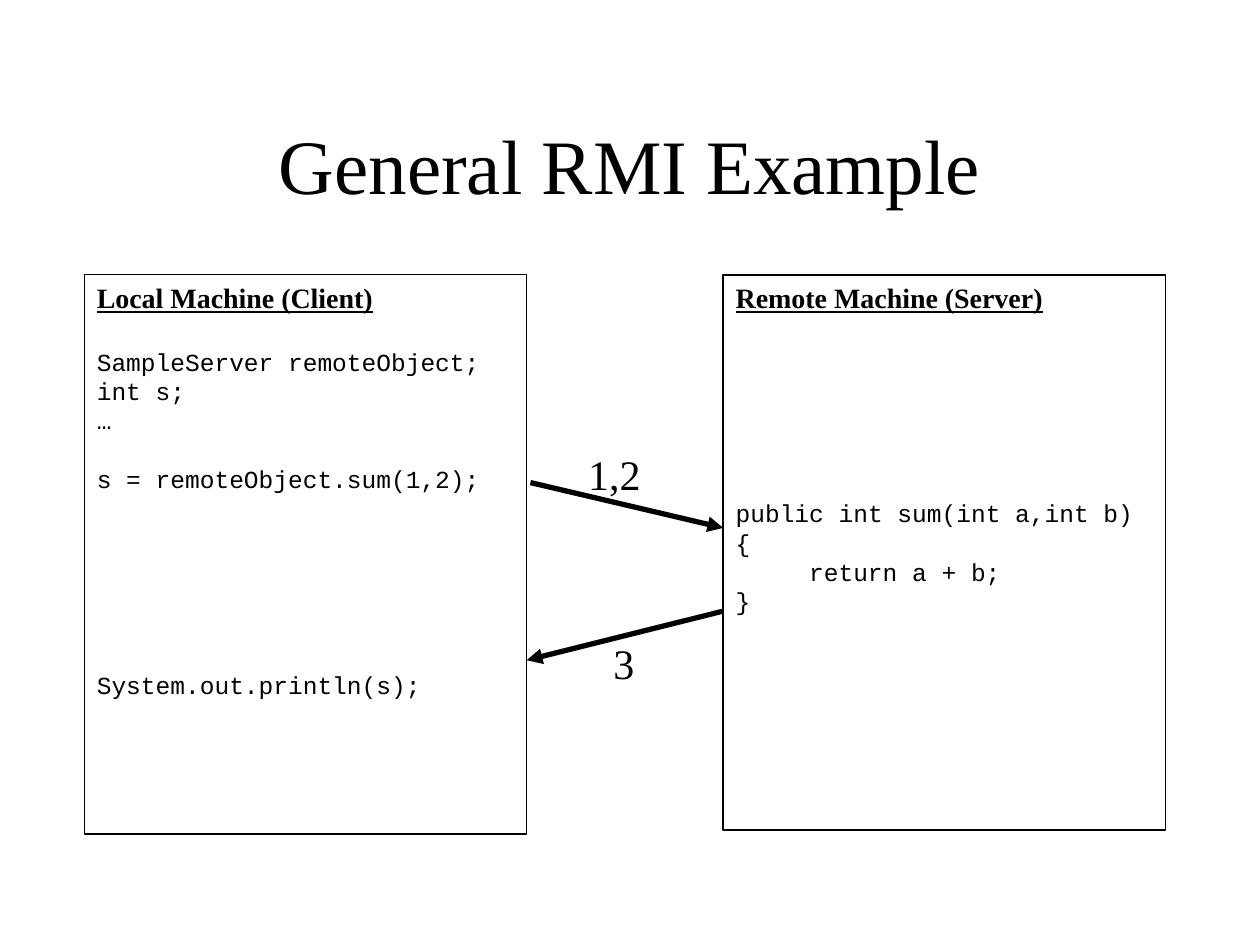
import pptx
import pptx.util
import pptx.dml.color
import pptx.enum.shapes
import pptx.enum.text
import pptx.oxml
import pptx.oxml.ns
from dataclasses import dataclass

Inches, Pt = pptx.util.Inches, pptx.util.Pt


@dataclass(frozen=True)
class Theme:
    """Colours, fonts and type sizes in points."""
    ink: pptx.dml.color.RGBColor = pptx.dml.color.RGBColor(0, 0, 0)
    serif: str = "Times New Roman"
    mono: str = "Courier New"
    title: float = 44
    value: float = 24
    heading: float = 16
    code: float = 14
    code_line: float = 16.8
    code_indent: float = 42
    border: float = 1
    arrow: float = 3


THEME = Theme()
MACHINE_TOP, MACHINE_WIDTH = 2.18, 3.51
TITLE = ("General RMI Example", (0.75, 0.67, 8.5, 1.25))

# Each code line: text, gap above in points, indent level
MACHINES = [
    dict(heading="Local Machine (Client)", left=0.67, height=4.44, code=[
        ("SampleServer remoteObject;", THEME.heading * 1.15, 0),
        ("int s;", 0, 0),
        ("…", 0, 0),
        ("s = remoteObject.sum(1,2);", THEME.code_line, 0),
        ("System.out.println(s);", 6 * THEME.code_line, 0),
    ]),
    dict(heading="Remote Machine (Server)", left=5.74, height=4.41, code=[
        ("public int sum(int a,int b) {", 105, 0),
        ("return a + b;", 0, 1),
        ("}", 0, 0),
    ]),
]
MESSAGES = [
    dict(value="1,2", box=(4.57, 3.51, 0.62, 0.5), start=(4.21, 3.83), end=(5.74, 4.19)),
    dict(value="3", box=(4.77, 5.01, 0.37, 0.5), start=(5.74, 4.85), end=(4.18, 5.24)),
]


def style(paragraph, text, name, size, strong=False):
    """Write text into a paragraph and set its font."""
    paragraph.text = text
    font = paragraph.font
    font.name, font.size = name, Pt(size)
    font.bold = font.underline = strong
    font.color.rgb = THEME.ink


def add_label(slide, text, box, size, wrap=False):
    """Add a text box holding one serif line."""
    frame = slide.shapes.add_textbox(*map(Inches, box)).text_frame
    frame.word_wrap = wrap
    style(frame.paragraphs[0], text, THEME.serif, size)
    return frame


def add_machine(slide, heading, left, height, code):
    """Add an outlined machine box with a heading and its code."""
    shape = slide.shapes.add_shape(
        pptx.enum.shapes.MSO_SHAPE.RECTANGLE,
        *map(Inches, (left, MACHINE_TOP, MACHINE_WIDTH, height)))
    shape.shadow.inherit = False
    shape.fill.background()
    shape.line.color.rgb = THEME.ink
    shape.line.width = Pt(THEME.border)
    frame = shape.text_frame
    frame.word_wrap = True
    frame.vertical_anchor = pptx.enum.text.MSO_ANCHOR.TOP
    style(frame.paragraphs[0], heading, THEME.serif, THEME.heading, strong=True)
    for text, gap, level in code:
        paragraph = frame.add_paragraph()
        style(paragraph, text, THEME.mono, THEME.code)
        paragraph.line_spacing = Pt(THEME.code_line)
        paragraph.space_before = Pt(gap)
        if level:
            properties = paragraph._p.get_or_add_pPr()
            properties.set("marL", str(Pt(level * THEME.code_indent)))
            properties.set("indent", "0")
    for paragraph in frame.paragraphs:
        paragraph.alignment = pptx.enum.text.PP_ALIGN.LEFT


def add_arrow(slide, start, end):
    """Add a straight arrow from start to end."""
    connector = slide.shapes.add_connector(
        pptx.enum.shapes.MSO_CONNECTOR.STRAIGHT, *map(Inches, start + end))
    connector.line.color.rgb = THEME.ink
    connector.line.width = Pt(THEME.arrow)
    head = pptx.oxml.parse_xml(
        f'<a:tailEnd {pptx.oxml.ns.nsdecls("a")} type="triangle"/>')
    connector.line._get_or_add_ln().append(head)
    connector._element.spPr.append(
        pptx.oxml.parse_xml(f'<a:effectLst {pptx.oxml.ns.nsdecls("a")}/>'))


def build():
    """Build and save the slide."""
    presentation = pptx.Presentation()
    presentation.slide_width, presentation.slide_height = Inches(10), Inches(7.5)
    slide = presentation.slides.add_slide(presentation.slide_layouts[6])
    title = add_label(slide, *TITLE, THEME.title, wrap=True)
    title.vertical_anchor = pptx.enum.text.MSO_ANCHOR.MIDDLE
    title.paragraphs[0].alignment = pptx.enum.text.PP_ALIGN.CENTER
    for machine in MACHINES:
        add_machine(slide, **machine)
    for message in MESSAGES:
        add_arrow(slide, message["start"], message["end"])
        add_label(slide, message["value"], message["box"], THEME.value)
    presentation.save("out.pptx")


build()
